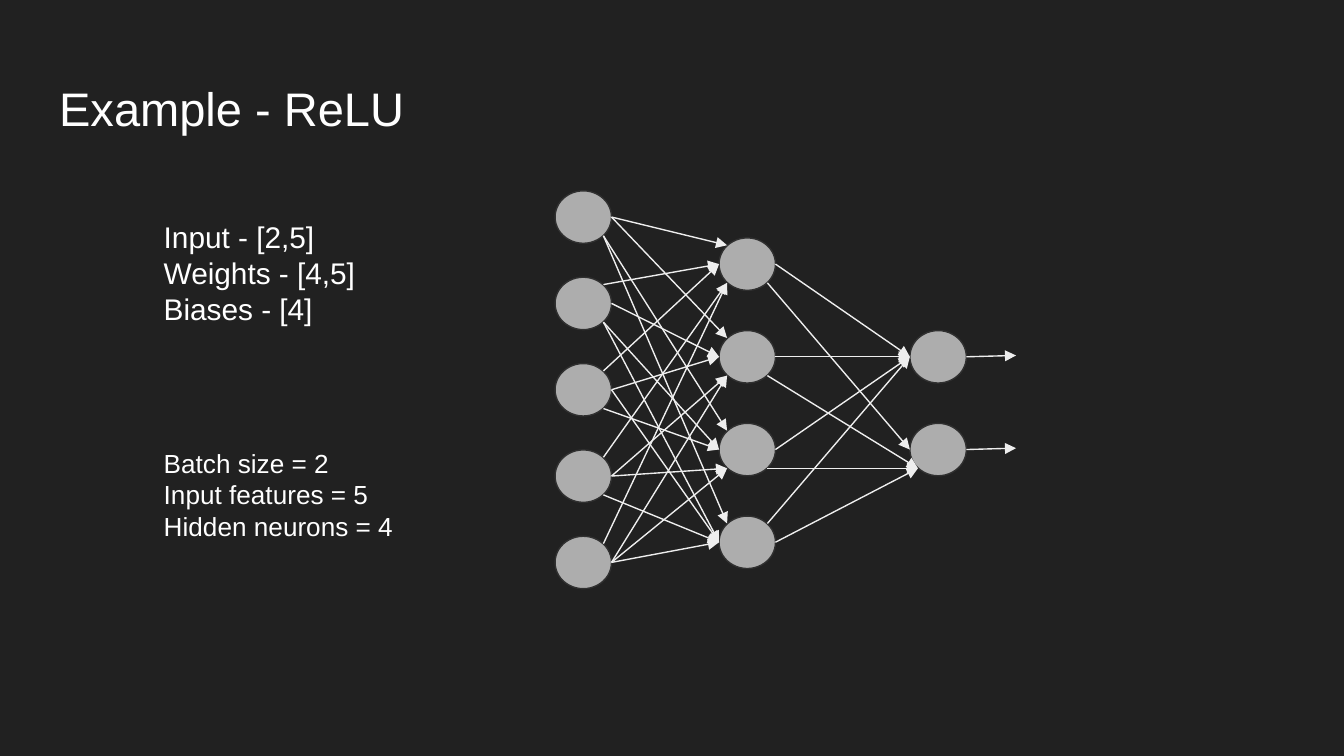
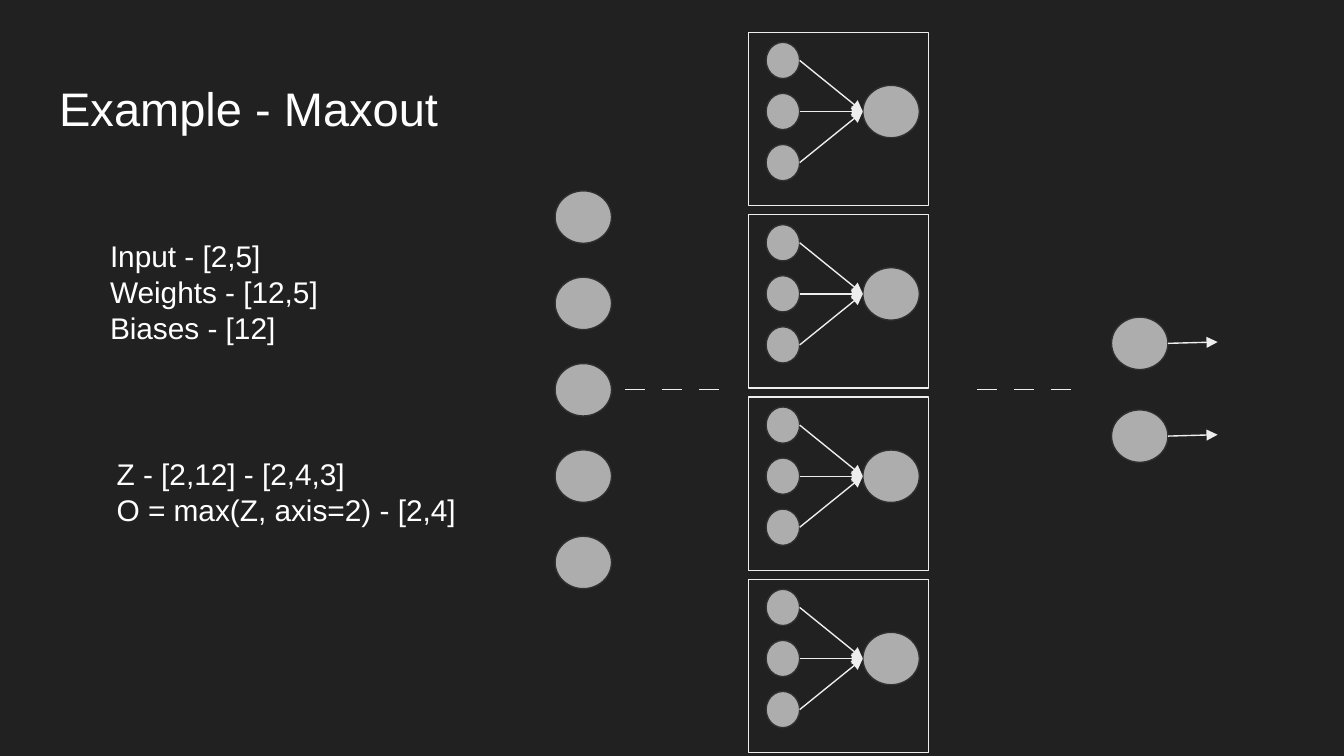
"""Two dark slides that compare a ReLU layer with a Maxout layer."""
from dataclasses import dataclass

from lxml import etree
from pptx import Presentation
from pptx import util as u
from pptx.dml.color import RGBColor
from pptx.enum import shapes, text
from pptx.oxml.ns import qn


@dataclass(frozen=True)
class Theme:
    background: RGBColor = RGBColor(0x21, 0x21, 0x21)
    words: RGBColor = RGBColor(0xFF, 0xFF, 0xFF)
    neuron: RGBColor = RGBColor(0xAD, 0xAD, 0xAD)
    rim: RGBColor = RGBColor(0x30, 0x30, 0x30)
    link: RGBColor = RGBColor(0xEE, 0xEE, 0xEE)
    font: str = "Arial"
    title_size: float = 25.2
    shape_size: float = 16
    batch_size: float = 14
    stroke: float = 0.75


theme = Theme()
NEURON = (0.42, 0.39)
PIECE = (0.25, 0.27)
UNIT = (1.34, 1.29)
DIAGONAL = (0.06, 0.14)
SIGN = {"-": -1, "0": 0, "+": 1}


def place(slide, left, top, size=NEURON, kind=shapes.MSO_SHAPE.OVAL):
    """Draw a neuron, or an unfilled unit frame when the kind is a rectangle."""
    part = slide.shapes.add_shape(kind, *map(u.Inches, (left, top, *size)))
    part.shadow.inherit = False
    part.line.width = u.Pt(theme.stroke)
    if kind == shapes.MSO_SHAPE.OVAL:
        part.fill.solid()
        part.fill.fore_color.rgb = theme.neuron
        part.line.color.rgb = theme.rim
    else:
        part.fill.background()
        part.line.color.rgb = theme.link


def link(slide, start, end, arrow=True):
    """Join two points with a thin line."""
    wire = slide.shapes.add_connector(
        shapes.MSO_CONNECTOR.STRAIGHT, *map(u.Inches, (*start, *end)))
    wire.line.color.rgb = theme.link
    wire.line.width = u.Pt(theme.stroke)
    properties = wire._element.spPr
    if arrow:
        etree.SubElement(properties.find(qn("a:ln")), qn("a:tailEnd"), type="triangle")
    etree.SubElement(properties, qn("a:effectLst"))


deck = Presentation()
deck.slide_width = u.Inches(10)
deck.slide_height = deck.slide_width * 9 // 16
deck.slide_master.background.fill.solid()
deck.slide_master.background.fill.fore_color.rgb = theme.background

lessons = [
    ("Example - ReLU", [
        ((1.12, 1.53, 1.84, 1.01), theme.shape_size,
         "Input - [2,5]\nWeights - [4,5]\nBiases - [4]"),
        ((1.12, 3.23, 1.97, 1.14), theme.batch_size,
         "Batch size = 2\nInput features = 5\nHidden neurons = 4"),
    ]),
    ("Example - Maxout", [
        ((0.72, 1.67, 2.82, 1.01), theme.shape_size,
         "Input - [2,5]\nWeights - [12,5]\nBiases - [12]"),
        ((0.77, 3.29, 3.44, 0.74), theme.shape_size,
         "Z - [2,12] - [2,4,3]\nO = max(Z, axis=2) - [2,4]"),
    ]),
]
frame_format = {
    "word_wrap": True, "auto_size": text.MSO_AUTO_SIZE.NONE,
    "margin_left": u.Inches(0.1), "margin_right": u.Inches(0.1),
    "margin_top": u.Inches(0.1), "margin_bottom": u.Inches(0.1),
    "vertical_anchor": text.MSO_ANCHOR.TOP,
}
input_tops = [1.42 + 2.57 * row / 4 for row in range(5)]

for heading, notes in lessons:
    slide = deck.slides.add_slide(deck.slide_layouts[5])
    title = slide.shapes.title
    title.left, title.top, title.width, title.height = map(u.Inches, (0.34, 0.49, 9.32, 0.63))
    passages = [(title, theme.title_size, heading)]
    for box, size, wording in notes:
        note = slide.shapes.add_textbox(*map(u.Inches, box))
        passages.append((note, size, wording))
    for passage, size, wording in passages:
        frame = passage.text_frame
        frame.text = wording
        for name, value in frame_format.items():
            setattr(frame, name, value)
        for paragraph in frame.paragraphs:
            paragraph.alignment = text.PP_ALIGN.LEFT
            for run in paragraph.runs:
                run.font.name, run.font.size = theme.font, u.Pt(size)
                run.font.color.rgb = theme.words
    for top in input_tops:
        place(slide, 4.13, top)

relu, maxout = deck.slides

hidden_tops = [1.77 + 0.69 * row for row in range(4)]
output_tops = hidden_tops[1:3]
layers = [(4.13, input_tops), (5.35, hidden_tops), (6.77, output_tops)]
for left, tops in layers[1:]:
    for top in tops:
        place(relu, left, top)

wiring = [
    ["0- 0- +- +-", "-0 00 +0 +0", "-0 00 +0 00", "-+ 0+ 0+ +0", "-+ 0+ 0+ 00"],
    ["00 +0", "00 ++", "00 ++", "-0 0+"],
]
for (left, tops), (next_left, next_tops), sides in zip(layers, layers[1:], wiring):
    for top, row in zip(tops, sides):
        for next_top, (leave, enter) in zip(next_tops, row.split()):
            out, into = SIGN[leave], SIGN[enter]
            link(relu,
                 (left + NEURON[0] - DIAGONAL[0] * abs(out),
                  top + NEURON[1] / 2 + DIAGONAL[1] * out),
                 (next_left + DIAGONAL[0] * abs(into),
                  next_top + NEURON[1] / 2 + DIAGONAL[1] * into))

maxout_tops = [2.36, 3.05]
for top in maxout_tops:
    place(maxout, 8.27, top)
for slide, left, tops in [(relu, 7.19, output_tops), (maxout, 8.69, maxout_tops)]:
    for top in tops:
        middle = top + NEURON[1] / 2
        link(slide, (left, middle), (left + 0.37, middle - 0.01))

for unit in range(4):
    unit_top = 0.24 + 4.07 * unit / 3
    middle = unit_top + 0.59
    place(maxout, 5.57, unit_top, UNIT, shapes.MSO_SHAPE.RECTANGLE)
    piece_middles = [middle + 0.38 * step for step in (-1, 0, 1)]
    for piece_middle in piece_middles:
        place(maxout, 5.7, piece_middle - PIECE[1] / 2, PIECE)
    place(maxout, 6.42, middle - NEURON[1] / 2)
    for piece_middle in piece_middles:
        link(maxout, (5.95, piece_middle), (6.42, middle))

for first in (4.65, 7.27):
    for dash in range(3):
        left = first + 0.55 * dash / 2
        link(maxout, (left, 2.9), (left + 0.15, 2.9), arrow=False)

deck.save("out.pptx")
